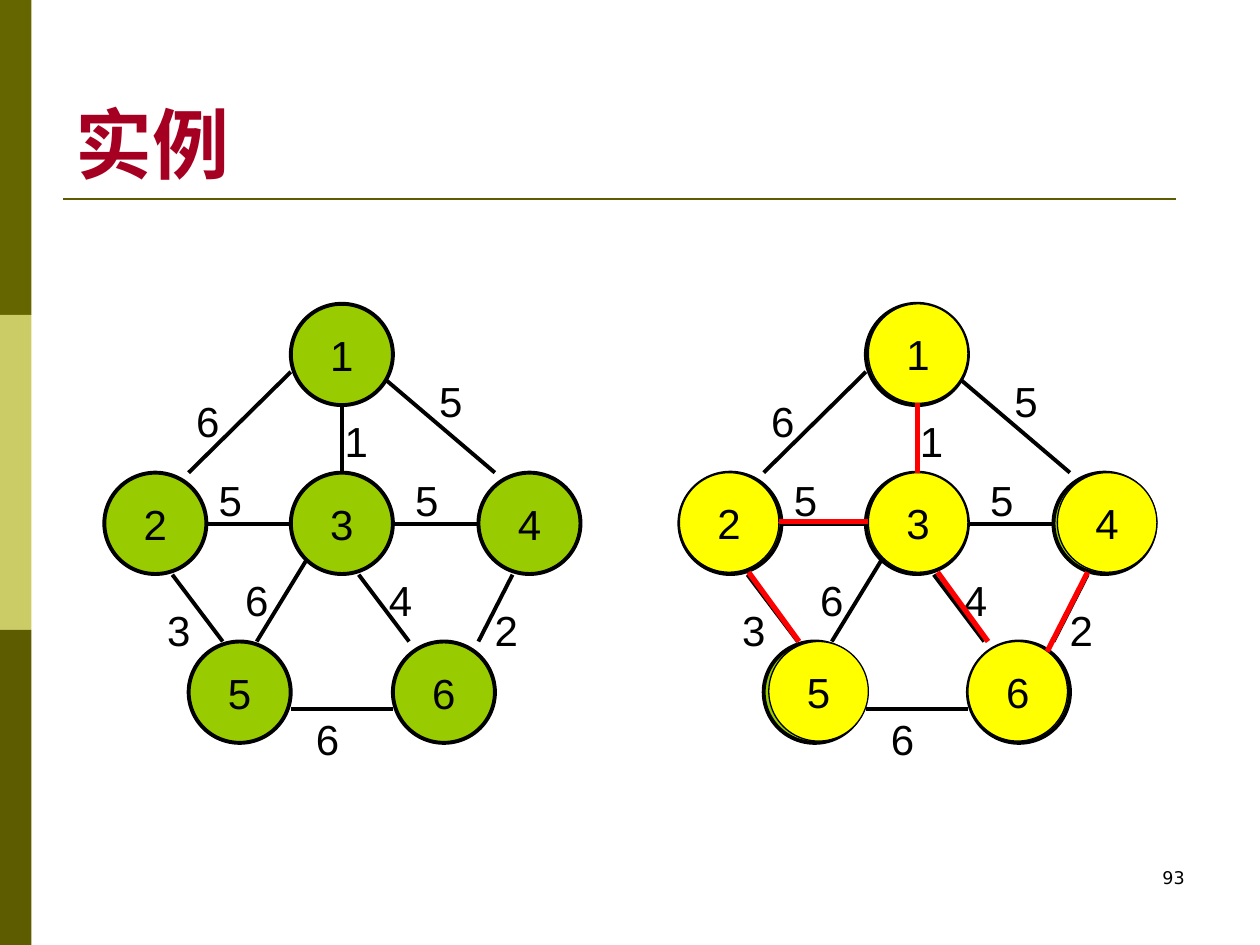
from dataclasses import dataclass

from lxml import etree
from pptx import Presentation
from pptx.dml.color import RGBColor
from pptx.enum import shapes, text
from pptx.oxml.ns import qn
from pptx.util import Pt


@dataclass(frozen=True)
class Theme:
    olive: str = "666600"
    light_olive: str = "CCCC66"
    dark_olive: str = "5E5C00"
    title: str = "A50021"
    ink: str = "000000"
    graph_node: str = "99CC00"
    tree_node: str = "FFFF00"
    tree_edge: str = "FF0000"
    title_font: str = "Times New Roman"
    graph_font: str = "Arial"
    number_font: str = "DejaVu Sans"
    title_size: float = 44
    graph_size: float = 24
    number_size: float = 10


T = Theme()

# Node number -> top left corner within the graph
NODES = {1: (106.6, 0), 2: (0, 96.5), 3: (106.6, 96.5),
         4: (213.8, 96.5), 5: (48.2, 193), 6: (164.9, 193)}
TREE_NODES = {1: (108, 0), 2: (0, 96.5), 3: (108, 96.5),
              4: (216, 96.5), 5: (51.1, 193), 6: (164.9, 193)}

# Start, end, weight, corner of the weight label
EDGES = [
    ((106.6, 38.9), (48.2, 96.5), "6", (45.4, 49)),
    ((38.9, 154.8), (67.7, 193), "3", (28.8, 168.5)),
    ((58.3, 126), (116.6, 126), "5", (58.3, 94.3)),
    ((136.1, 58.3), (136.1, 96.5), "1", (130.3, 60.5)),
    ((116.6, 144.7), (87.1, 193), "6", (73.4, 151.2)),
    ((164.9, 126), (213.8, 126), "5", (170.6, 94.3)),
    ((145.4, 154.8), (174.2, 193), "4", (155.5, 151.2)),
    ((106.6, 231.8), (164.9, 231.8), "6", (113.8, 230.4)),
    ((233.3, 154.8), (213.8, 193), "2", (216, 168.5)),
    ((155.5, 38.9), (223.2, 96.5), "5", (184.3, 37.4)),
]
TREE_EDGES = [
    ((136.1, 56.9), (136.1, 96.5)),
    ((233.3, 153.4), (210.2, 198.7)),
    ((39.6, 153.4), (68.4, 193)),
    ((147.6, 153.4), (176.4, 193)),
    ((56.9, 124.6), (108, 124.6)),
]


def rgb(color):
    return RGBColor.from_string(color)


def write(sp, words, font, size, color=T.ink, align=None, bold=False):
    tf = sp.text_frame
    tf.text = words
    p = tf.paragraphs[0]
    p.alignment = align
    f = p.runs[0].font
    f.name, f.size, f.bold = font, Pt(size), bold
    f.color.rgb = rgb(color)
    return tf


def add_shape(s, kind, x, y, w, h, fill, line_width=0):
    sp = s.shapes.add_shape(kind, Pt(x), Pt(y), Pt(w), Pt(h))
    sp.shadow.inherit = False
    sp.fill.solid()
    sp.fill.fore_color.rgb = rgb(fill)
    if line_width:
        sp.line.color.rgb = rgb(T.ink)
        sp.line.width = Pt(line_width)
    else:
        sp.line.fill.background()
    return sp


def add_line(s, x1, y1, x2, y2, color, width):
    c = s.shapes.add_connector(shapes.MSO_CONNECTOR.STRAIGHT,
                               Pt(x1), Pt(y1), Pt(x2), Pt(y2))
    c.line.color.rgb = rgb(color)
    c.line.width = Pt(width)
    etree.SubElement(c._element.spPr, qn("a:effectLst"))


def add_label(s, x, y, w, h, words, font, size, align=None, wrap=False):
    sp = s.shapes.add_textbox(Pt(x), Pt(y), Pt(w), Pt(h))
    write(sp, words, font, size, align=align).word_wrap = wrap


def add_nodes(s, x, y, nodes, w, h, fill, line_width):
    for number, (dx, dy) in nodes.items():
        sp = add_shape(s, shapes.MSO_SHAPE.OVAL, x + dx, y + dy, w, h, fill, line_width)
        tf = write(sp, str(number), T.graph_font, T.graph_size, align=text.PP_ALIGN.CENTER)
        tf.vertical_anchor = text.MSO_ANCHOR.MIDDLE
        tf.word_wrap = False


def add_edges(s, x, y, edges, color, width):
    for (x1, y1), (x2, y2) in edges:
        add_line(s, x + x1, y + y1, x + x2, y + y2, color, width)


def weighted_graph(s, x, y):
    add_edges(s, x, y, [edge[:2] for edge in EDGES], T.ink, 2.25)
    add_nodes(s, x, y, NODES, 58.3, 57.9, T.graph_node, 2.25)
    for _, _, weight, (dx, dy) in EDGES:
        add_label(s, x + dx, y + dy, 28, 36, weight, T.graph_font, T.graph_size)


def spanning_tree(s, x, y):
    add_nodes(s, x, y, TREE_NODES, 56.9, 56.9, T.tree_node, 0.75)
    add_edges(s, x, y, TREE_EDGES, T.tree_edge, 3)


def side_bands(s, x, y, w, h):
    colors = (T.olive, T.light_olive, T.dark_olive)
    band = h / len(colors)
    for i, color in enumerate(colors):
        add_shape(s, shapes.MSO_SHAPE.RECTANGLE, x, y + i * band, w, band, color)


def heading(s, x, y, w, h):
    sp = s.shapes.title
    sp.left, sp.top, sp.width, sp.height = Pt(x), Pt(y), Pt(w), Pt(h)
    tf = write(sp, "实例", T.title_font, T.title_size, T.title, text.PP_ALIGN.LEFT, True)
    tf.vertical_anchor = text.MSO_ANCHOR.BOTTOM
    # Rule under the title
    add_line(s, x, y + h + 2.2, x + 636, y + h + 2.2, T.dark_olive, 1.5)


def main():
    prs = Presentation()
    prs.slide_width, prs.slide_height = Pt(720), Pt(540)
    s = prs.slides.add_slide(prs.slide_layouts[5])

    # Frame of the slide
    side_bands(s, 0, 0, 18, 540)
    heading(s, 36, 21.6, 648, 90)
    add_label(s, 516, 492, 168, 36, "93", T.number_font, T.number_size,
              text.PP_ALIGN.RIGHT, wrap=True)

    # Graph on the left, the same graph with its spanning tree on the right
    top, left, right = 173.6, 59.6, 388.2
    weighted_graph(s, left, top)
    weighted_graph(s, right, top)
    spanning_tree(s, right, top)

    prs.save("out.pptx")


if __name__ == "__main__":
    main()
